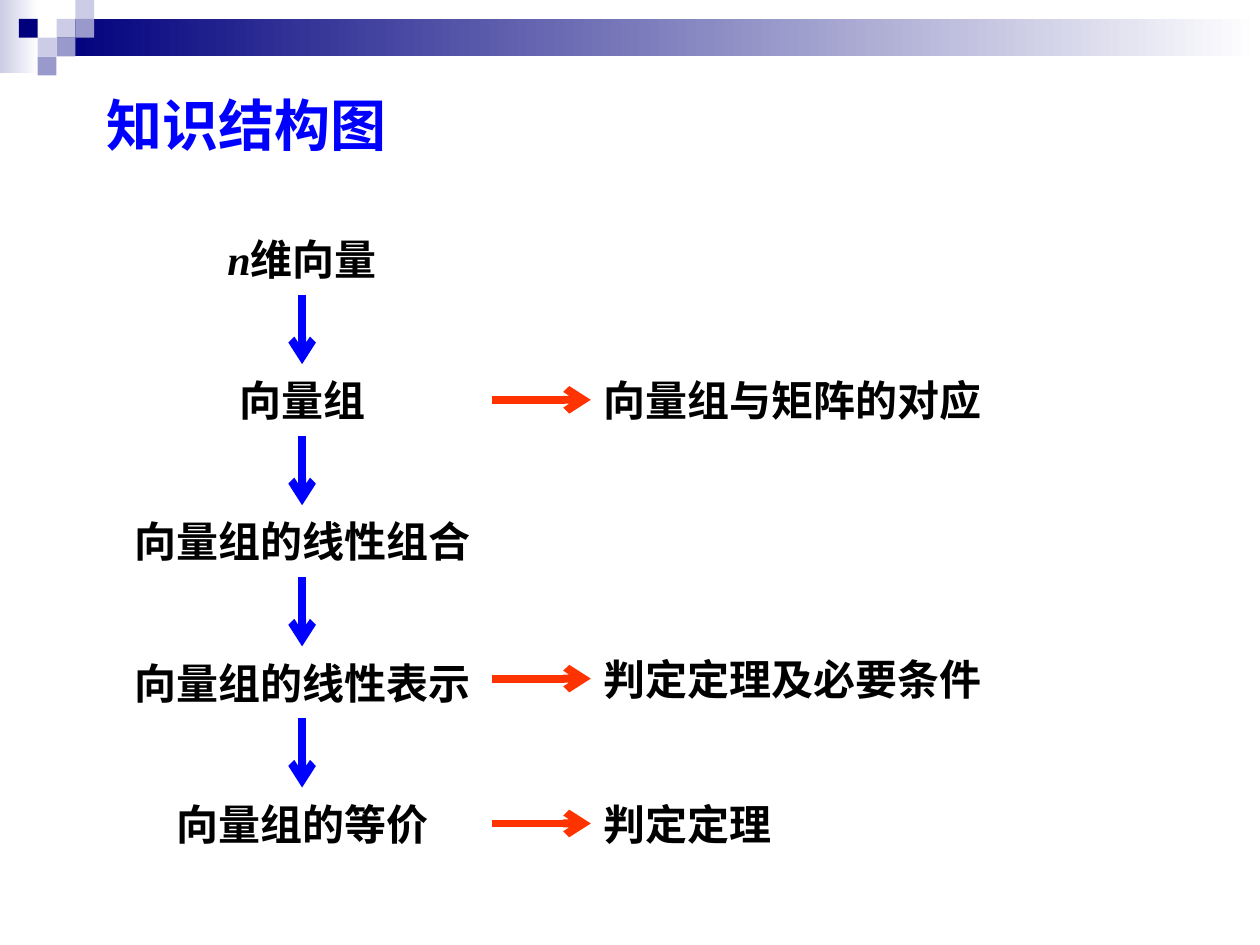
from dataclasses import dataclass

from lxml import etree
from pptx import Presentation
from pptx import util as u
from pptx.dml.color import RGBColor
from pptx.enum import shapes, text
from pptx.oxml import ns


@dataclass(frozen=True)
class Theme:
    navy: str = "00007D"
    violet: str = "9999CC"
    lavender: str = "CCCCE6"
    white: str = "FFFFFF"
    black: str = "000000"
    blue: str = "0000FF"
    orange: str = "FF3300"
    latin: str = "Times New Roman"
    chinese: str = "Noto Sans CJK SC"
    title_size: int = 32
    body_size: int = 24
    arrow_width: float = 4.5


class SlideBuilder:
    def __init__(self, slide, theme):
        self.slide = slide
        self.theme = theme

    def rectangle(self, left, top, width, height, color, fade_to=None):
        shape = self.slide.shapes.add_shape(
            shapes.MSO_SHAPE.RECTANGLE, u.Cm(left), u.Cm(top), u.Cm(width), u.Cm(height))
        shape.shadow.inherit = False
        shape.line.fill.background()
        if fade_to:
            shape.fill.gradient()
            shape.fill.gradient_angle = 0
            for stop, stop_color in zip(shape.fill.gradient_stops, (color, fade_to)):
                stop.color.rgb = RGBColor.from_string(stop_color)
        else:
            shape.fill.solid()
            shape.fill.fore_color.rgb = RGBColor.from_string(color)

    def run(self, paragraph, words, size, color, latin, italic=False):
        run = paragraph.add_run()
        run.text = words
        font = run.font
        font.size = u.Pt(size)
        font.bold = True
        font.italic = italic
        font.color.rgb = RGBColor.from_string(color)
        font.name = latin
        east_asian = etree.SubElement(run._r.get_or_add_rPr(), ns.qn("a:ea"))
        east_asian.set("typeface", self.theme.chinese)

    def frame(self, shape, alignment):
        frame = shape.text_frame
        frame.word_wrap = True
        frame.auto_size = text.MSO_AUTO_SIZE.NONE
        frame.vertical_anchor = text.MSO_ANCHOR.MIDDLE
        paragraph = frame.paragraphs[0]
        paragraph.alignment = alignment
        return paragraph

    def title(self, left, top, width, height, words):
        shape = self.slide.shapes.title
        shape.left, shape.top = u.Cm(left), u.Cm(top)
        shape.width, shape.height = u.Cm(width), u.Cm(height)
        paragraph = self.frame(shape, text.PP_ALIGN.LEFT)
        self.run(paragraph, words, self.theme.title_size, self.theme.blue, self.theme.latin)

    def label(self, left, top, width, height, words, alignment, variable=""):
        shape = self.slide.shapes.add_textbox(
            u.Cm(left), u.Cm(top), u.Cm(width), u.Cm(height))
        paragraph = self.frame(shape, alignment)
        size, color = self.theme.body_size, self.theme.black
        if variable:
            self.run(paragraph, variable, size, color, self.theme.latin, italic=True)
        self.run(paragraph, words, size, color, self.theme.chinese)
        return shape

    def arrow(self, start, end, color, target=None):
        connector = self.slide.shapes.add_connector(
            shapes.MSO_CONNECTOR.STRAIGHT, *(u.Cm(value) for value in (*start, *end)))
        connector.line.width = u.Pt(self.theme.arrow_width)
        connector.line.color.rgb = RGBColor.from_string(color)
        head = etree.SubElement(connector.line._get_or_add_ln(), ns.qn("a:tailEnd"))
        head.set("type", "arrow")
        etree.SubElement(connector._element.spPr, ns.qn("a:effectLst"))
        if target is not None:
            connector.end_connect(target, 1)


def draw_header(builder):
    theme = builder.theme
    unit = 0.38
    builder.rectangle(0, 0, 0.78, 1.47, theme.lavender, fade_to=theme.white)
    builder.rectangle(3 * unit, unit, 25.4 - 3 * unit, 2 * unit, theme.navy, fade_to=theme.white)
    squares = [
        (3, 1, theme.lavender), (4, 0, theme.lavender), (4, 1, theme.violet),
        (2, 2, theme.lavender), (1, 1, theme.navy), (3, 2, theme.violet),
        (2, 3, theme.violet),
    ]
    for column, row, color in squares:
        builder.rectangle(column * unit, row * unit, unit, unit, color)


def draw_structure(builder):
    theme = builder.theme
    center, first_top, pitch, height = 6.09, 4.37, 2.845, 1.7
    note_left, note_width, arrow_left = 11.91, 12.2, 9.91
    steps = [
        ("n", "维向量", 4.8),
        ("", "向量组", 4.8),
        ("", "向量组的线性组合", 10),
        ("", "向量组的线性表示", 10),
        ("", "向量组的等价", 10),
    ]
    for index, (variable, words, width) in enumerate(steps):
        top = first_top + index * pitch
        builder.label(center - width / 2, top, width, height, words,
                      text.PP_ALIGN.CENTER, variable)
        if index < len(steps) - 1:
            builder.arrow((center, top + 1.57), (center, top + 2.97), theme.blue)

    notes = [(7.21, "向量组与矩阵的对应"), (12.83, "判定定理及必要条件"), (15.75, "判定定理")]
    for top, words in notes:
        note = builder.label(note_left, top, note_width, height, words, text.PP_ALIGN.LEFT)
        middle = top + height / 2
        builder.arrow((arrow_left, middle), (note_left, middle), theme.orange, note)


def main():
    presentation = Presentation()
    presentation.slide_width, presentation.slide_height = u.Cm(25.4), u.Cm(19.05)
    slide = presentation.slides.add_slide(presentation.slide_layouts[5])
    builder = SlideBuilder(slide, Theme())
    draw_header(builder)
    builder.title(1.9, 0.91, 21.6, 3.18, "知识结构图")
    draw_structure(builder)
    presentation.save("out.pptx")


if __name__ == "__main__":
    main()
